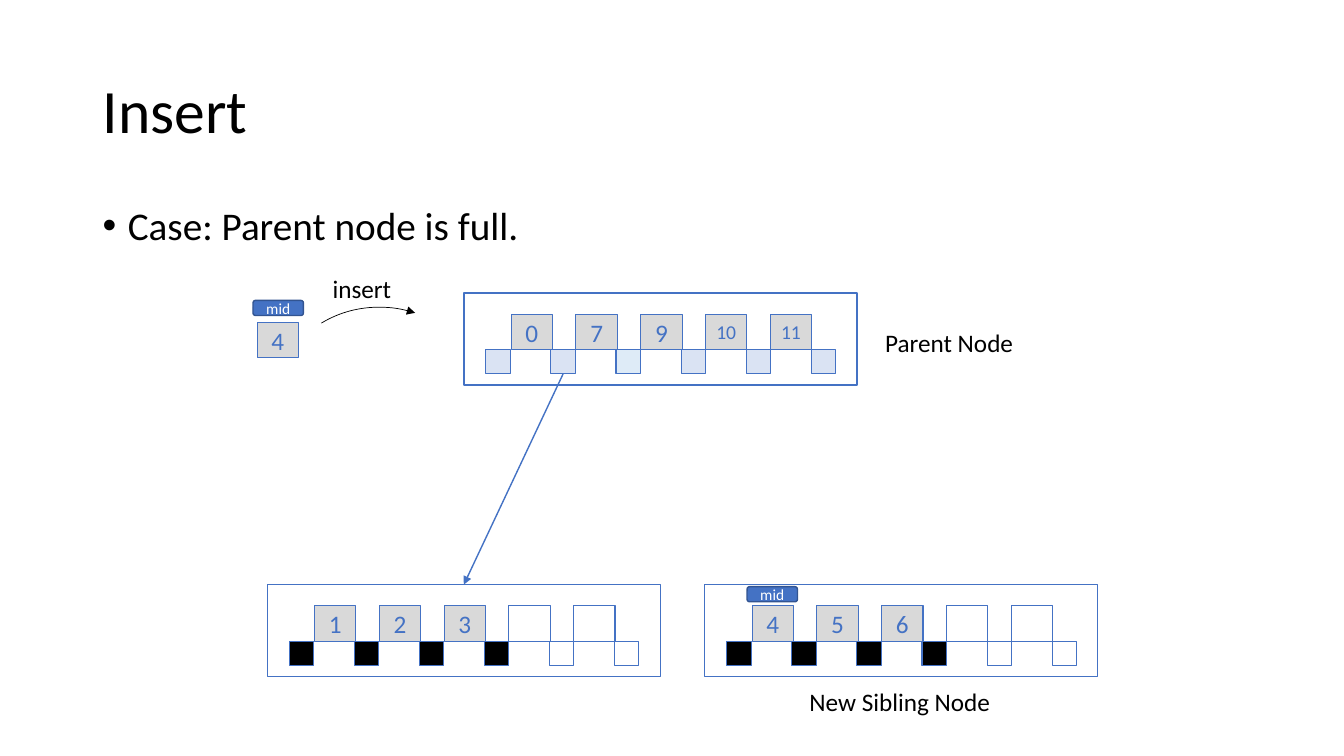
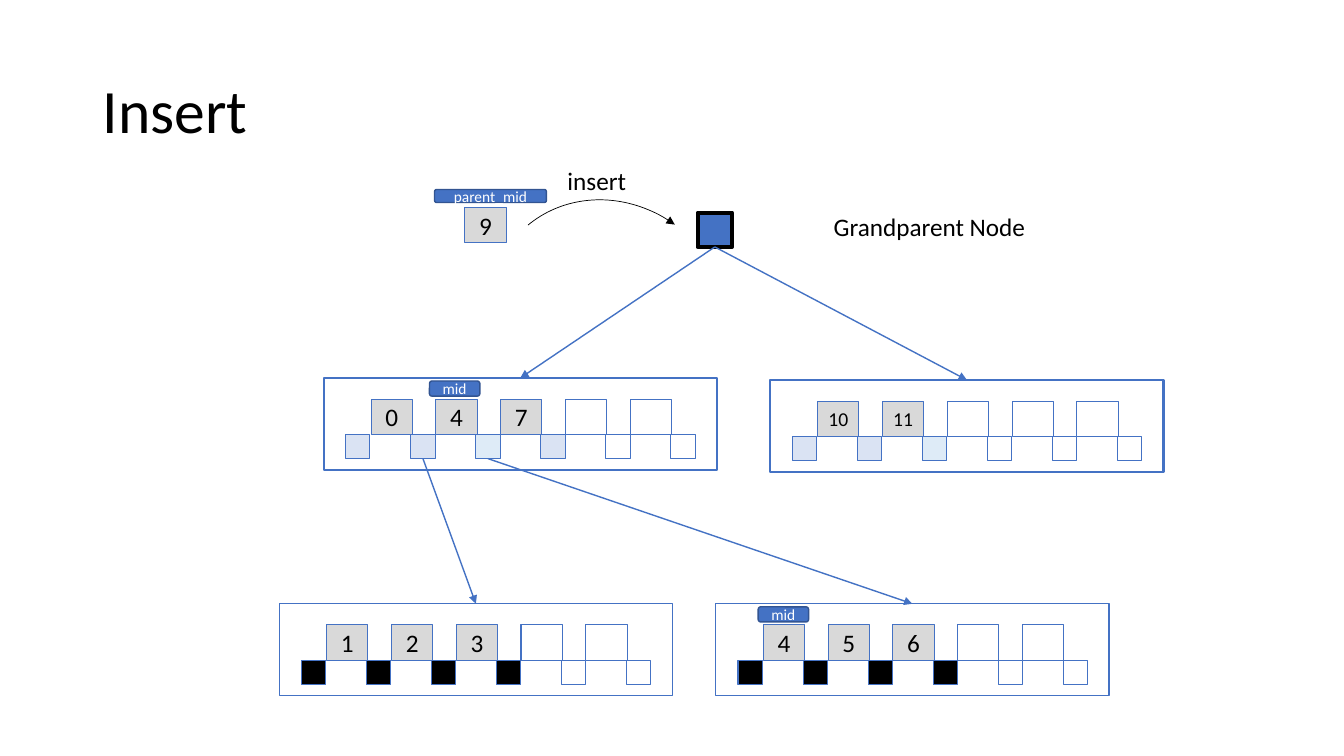
from lxml import etree
from pptx import Presentation
from pptx.dml.color import RGBColor
from pptx.enum import shapes, text
from pptx.oxml.ns import qn
from pptx.util import Pt

PX = 9144
FONT = "Calibri"
COLORS = {
    "black": "000000", "white": "FFFFFF", "blue": "4472C4", "navy": "325491",
    "key": "D9D9D9", "pointer": "DAE3F3", "third": "DEEBF7",
}
TITLE_BOX = (92, 40, 1150, 145)
BODY_BOX = (92, 200, 1150, 476)
NODE_W, NODE_H = 390, 91
KEY_W, KEY_H, KEY_LEFT, KEY_TOP, KEY_PITCH = 41, 35, 47, 21, 64.25
POINTER, POINTER_LEFT, POINTER_TOP, POINTER_PITCH = 24, 22, 56, 64.5
KEY_SLOTS = 5

SLIDES = [
    {
        "title": "Insert",
        "body": "Case: Parent node is full.",
        "key_color": "blue",
        "nodes": {
            "left leaf": (265, 580, "leaf", [1, 2, 3]),
            "right leaf": (699, 580, "leaf", [4, 5, 6]),
            "parent": (460, 291, "inner", [0, 7, 9, 10, 11]),
        },
        "links": [("parent", 1, "left leaf")],
        "loose_key": (255, 320, 4),
        "tags": [(251, 298, 50, 15, "mid"), (741, 582, 50, 15, "mid")],
        "insert_arc": (268, 302, 328.7, 188.39),
        "labels": [
            (868, 320, 149, "Parent Node"),
            (793, 676, 202, "New Sibling Node"),
            (320, 266, 79, "insert"),
        ],
    },
    {
        "title": "Insert",
        "key_color": "black",
        "nodes": {
            "left leaf": (277, 599, "leaf", [1, 2, 3]),
            "right leaf": (710, 599, "leaf", [4, 5, 6]),
            "left parent": (321, 375, "inner", [0, 4, 7]),
            "right parent": (764, 377, "inner", [10, 11]),
        },
        "grandparent": (692, 211, 34, 34),
        "links": [
            ("left parent", 1, "left leaf"),
            ("left parent", 2, "right leaf"),
            ("grandparent", 0, "left parent"),
            ("grandparent", 0, "right parent"),
        ],
        "loose_key": (461, 206, 9),
        "tags": [
            (426, 378, 50, 15, "mid"),
            (752, 602, 50, 15, "mid"),
            (431, 188, 111, 13, "parent_mid"),
        ],
        "insert_arc": (488, 194, 320.4, 205.6),
        "labels": [
            (553, 159, 79, "insert"),
            (817, 205, 212, "Grandparent Node"),
        ],
    },
]


def emu(*lengths):
    return [round(length * PX) for length in lengths]


def rgb(name):
    return RGBColor.from_string(COLORS[name])


def write(shape, words, size=18, color="black", align=None, anchor=None,
          wrap=True, spacing=None, bullet=False):
    frame = shape.text_frame
    frame.word_wrap = wrap
    if anchor is not None:
        frame.vertical_anchor = anchor
    paragraph = frame.paragraphs[0]
    paragraph.text = words
    if align is not None:
        paragraph.alignment = align
    if spacing:
        paragraph.line_spacing = spacing
    if bullet:
        properties = paragraph._p.get_or_add_pPr()
        indent = emu(25)[0]
        properties.set("marL", str(indent))
        properties.set("indent", str(-indent))
        etree.SubElement(properties, qn("a:buFont")).set("typeface", "Arial")
        etree.SubElement(properties, qn("a:buChar")).set("char", "•")
    font = paragraph.runs[0].font
    font.name, font.size = FONT, Pt(size)
    font.color.rgb = rgb(color)


def add_text(slide, box, words, **style):
    write(slide.shapes.add_textbox(*emu(*box)), words, **style)


def add_box(slide, box, fill=None, line="blue", width=0.75,
            preset=shapes.MSO_SHAPE.RECTANGLE, words=None, **style):
    shape = slide.shapes.add_shape(preset, *emu(*box))
    shape.shadow.inherit = False
    if fill:
        shape.fill.solid()
        shape.fill.fore_color.rgb = rgb(fill)
    else:
        shape.fill.background()
    shape.line.color.rgb = rgb(line)
    shape.line.width = Pt(width)
    if words is not None:
        write(shape, words, align=text.PP_ALIGN.CENTER,
              anchor=text.MSO_ANCHOR.MIDDLE, **style)
    return shape


def add_arrowhead(shape):
    etree.SubElement(shape.line._get_or_add_ln(), qn("a:tailEnd")).set("type", "triangle")


def add_key(slide, x, y, value, color):
    add_box(slide, (x, y, KEY_W, KEY_H), "key", words=str(value),
            size=14 if value > 9 else 18, color=color)


def add_node(slide, x, y, level, keys, color):
    leaf = level == "leaf"
    frame = add_box(slide, (x, y, NODE_W, NODE_H), width=0.75 if leaf else 1.5)
    for slot in range(KEY_SLOTS):
        key_x, key_y = x + KEY_LEFT + slot * KEY_PITCH, y + KEY_TOP
        if slot < len(keys):
            add_key(slide, key_x, key_y, keys[slot], color)
        else:
            add_box(slide, (key_x, key_y, KEY_W, KEY_H), "white")
    pointers = []
    for slot in range(KEY_SLOTS + 1):
        if slot > len(keys):
            fill = "white"
        elif leaf:
            fill = "black"
        else:
            fill = "third" if slot == 2 else "pointer"
        pointer_x = x + POINTER_LEFT + slot * POINTER_PITCH
        pointers.append(add_box(slide, (pointer_x, y + POINTER_TOP, POINTER, POINTER), fill))
    return frame, pointers


def add_link(slide, pointer, child):
    link = slide.shapes.add_connector(shapes.MSO_CONNECTOR.STRAIGHT, 0, 0, 0, 0)
    link.begin_connect(pointer, 2)
    link.end_connect(child, 0)
    link.line.color.rgb = rgb("blue")
    link.line.width = Pt(1)
    add_arrowhead(link)
    etree.SubElement(link._element.spPr, qn("a:effectLst"))


def add_insert_arc(slide, x, y, rotation, end):
    arc = add_box(slide, (x, y, 234, 255), line="black", width=0.5,
                  preset=shapes.MSO_SHAPE.ARC)
    arc.adjustments[0], arc.adjustments[1] = 162, end
    arc.rotation = rotation
    add_arrowhead(arc)


def build_slide(deck, content):
    slide = deck.slides.add_slide(deck.slide_layouts[6])
    add_text(slide, TITLE_BOX, content["title"], size=44, spacing=0.9,
             anchor=text.MSO_ANCHOR.MIDDLE)
    if "body" in content:
        add_text(slide, BODY_BOX, content["body"], size=28, spacing=0.9, bullet=True)
    color = content["key_color"]
    nodes = {name: add_node(slide, *node, color) for name, node in content["nodes"].items()}
    if "grandparent" in content:
        grandparent = add_box(slide, content["grandparent"], "blue", "black", 3)
        nodes["grandparent"] = grandparent, [grandparent]
    for parent, slot, child in content["links"]:
        add_link(slide, nodes[parent][1][slot], nodes[child][0])
    add_key(slide, *content["loose_key"], color)
    for *box, words in content["tags"]:
        add_box(slide, box, "blue", "navy", 1, shapes.MSO_SHAPE.ROUNDED_RECTANGLE,
                words=words, size=11, color="white")
    add_insert_arc(slide, *content["insert_arc"])
    for x, y, width, words in content["labels"]:
        add_text(slide, (x, y, width, 40), words, wrap=False)


def main():
    deck = Presentation()
    deck.slide_width, deck.slide_height = emu(1333, 750)
    for content in SLIDES:
        build_slide(deck, content)
    deck.save("out.pptx")


if __name__ == "__main__":
    main()
